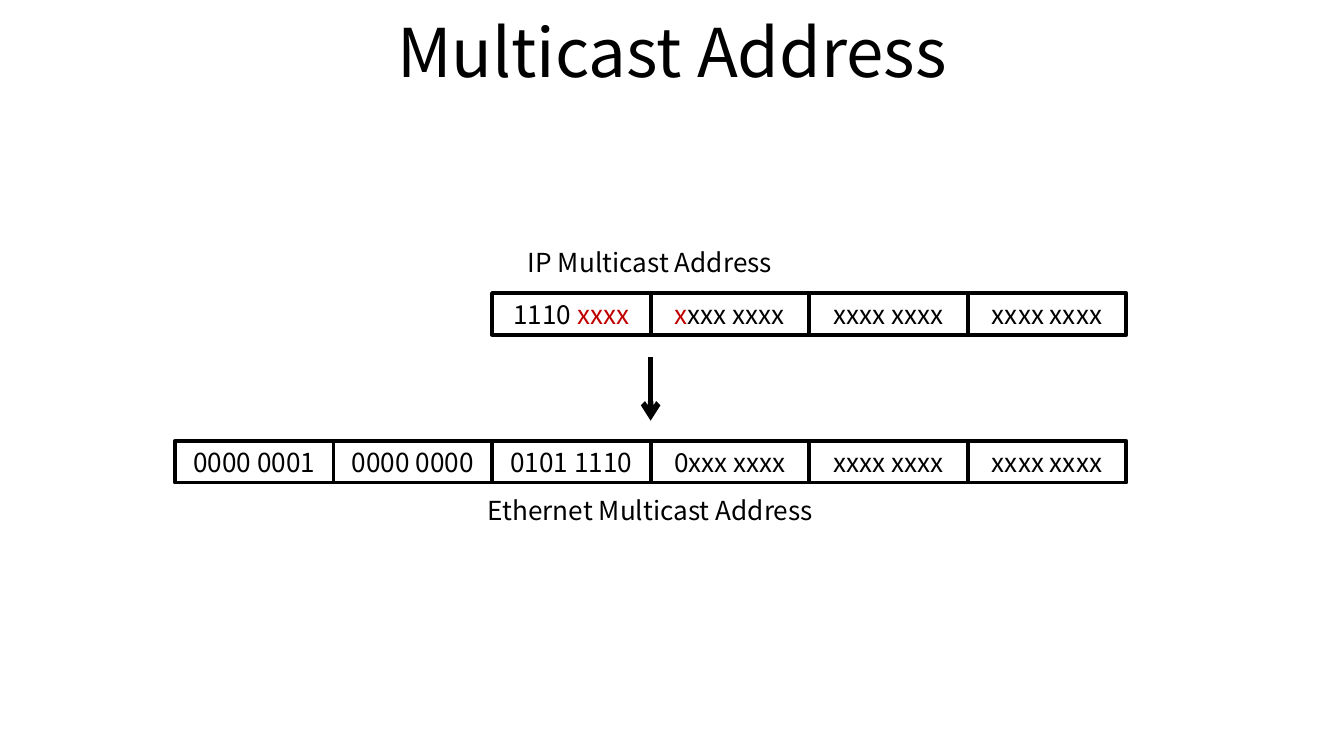
from lxml import etree
from pptx import Presentation
from pptx.dml.color import RGBColor
from pptx.enum.shapes import MSO_CONNECTOR, MSO_SHAPE
from pptx.enum.text import MSO_ANCHOR, MSO_AUTO_SIZE, PP_ALIGN
from pptx.oxml.ns import qn
from pptx.util import Pt

STRAIGHT = MSO_CONNECTOR.STRAIGHT
RECTANGLE = MSO_SHAPE.RECTANGLE
MIDDLE = MSO_ANCHOR.MIDDLE
CENTER = PP_ALIGN.CENTER
NO_FIT = MSO_AUTO_SIZE.NONE

COLORS = {"black": "000000", "white": "FFFFFF", "red": "C00000"}
FONT = "Noto Sans CJK KR"
CELL_WIDTH, CELL_HEIGHT = 84.95, 22.4
LEFT = 93.7
IP_LEFT = LEFT + 2 * CELL_WIDTH
IP_TOP, ETHERNET_TOP = 157, 236.2

IP_BYTES = [
    [("1110 ", "black"), ("xxxx", "red")],
    [("x", "red"), ("xxx xxxx", "black")],
    [("xxxx xxxx", "black")],
    [("xxxx xxxx", "black")],
]
ETHERNET_BYTES = [
    [(byte, "black")]
    for byte in ("0000 0001", "0000 0000", "0101 1110",
                 "0xxx xxxx", "xxxx xxxx", "xxxx xxxx")
]


def color(name):
    return RGBColor.from_string(COLORS[name])


def write(shape, spans, size):
    frame = shape.text_frame
    frame.word_wrap = True
    frame.auto_size = NO_FIT
    frame.vertical_anchor = MIDDLE
    frame.margin_left = frame.margin_right = Pt(0)
    frame.margin_top = frame.margin_bottom = Pt(0)
    para = frame.paragraphs[0]
    para.alignment = CENTER
    for text, name in spans:
        span = para.add_run()
        span.text = text
        span.font.name = FONT
        span.font.size = Pt(size)
        span.font.color.rgb = color(name)


def add_title(page, left, top, width, height):
    title = page.shapes.title
    title.left, title.top = Pt(left), Pt(top)
    title.width, title.height = Pt(width), Pt(height)
    write(title, [("Multicast Address", "black")], 36)


def add_address(page, left, top, address_bytes):
    for column, spans in enumerate(address_bytes):
        cell = page.shapes.add_shape(
            RECTANGLE, Pt(left + column * CELL_WIDTH), Pt(top),
            Pt(CELL_WIDTH), Pt(CELL_HEIGHT))
        cell.shadow.inherit = False
        cell.fill.solid()
        cell.fill.fore_color.rgb = color("white")
        cell.line.color.rgb = color("black")
        cell.line.width = Pt(2)
        write(cell, spans, 14)


def add_label(page, left, top, width, height, text):
    box = page.shapes.add_textbox(Pt(left), Pt(top), Pt(width), Pt(height))
    write(box, [(text, "black")], 14)


def add_down_arrow(page, x, top, bottom):
    arrow = page.shapes.add_connector(STRAIGHT, Pt(x), Pt(top), Pt(x), Pt(bottom))
    arrow.line.color.rgb = color("black")
    arrow.line.width = Pt(3)
    etree.SubElement(arrow.line._get_or_add_ln(), qn("a:tailEnd"), type="arrow")
    etree.SubElement(arrow._element.spPr, qn("a:effectLst"))


def main():
    deck = Presentation()
    deck.slide_width, deck.slide_height = Pt(720), Pt(405)
    page = deck.slides.add_slide(deck.slide_layouts[5])
    add_title(page, 36, -1.4, 648, 57)
    add_address(page, LEFT, ETHERNET_TOP, ETHERNET_BYTES)
    add_address(page, IP_LEFT, IP_TOP, IP_BYTES)
    add_down_arrow(page, IP_LEFT + CELL_WIDTH, 191.5, 225.4)
    add_label(page, 272, 129, 152.6, CELL_HEIGHT, "IP Multicast Address")
    add_label(page, 252, 262, 193, CELL_HEIGHT, "Ethernet Multicast Address")
    deck.save("out.pptx")


if __name__ == "__main__":
    main()
